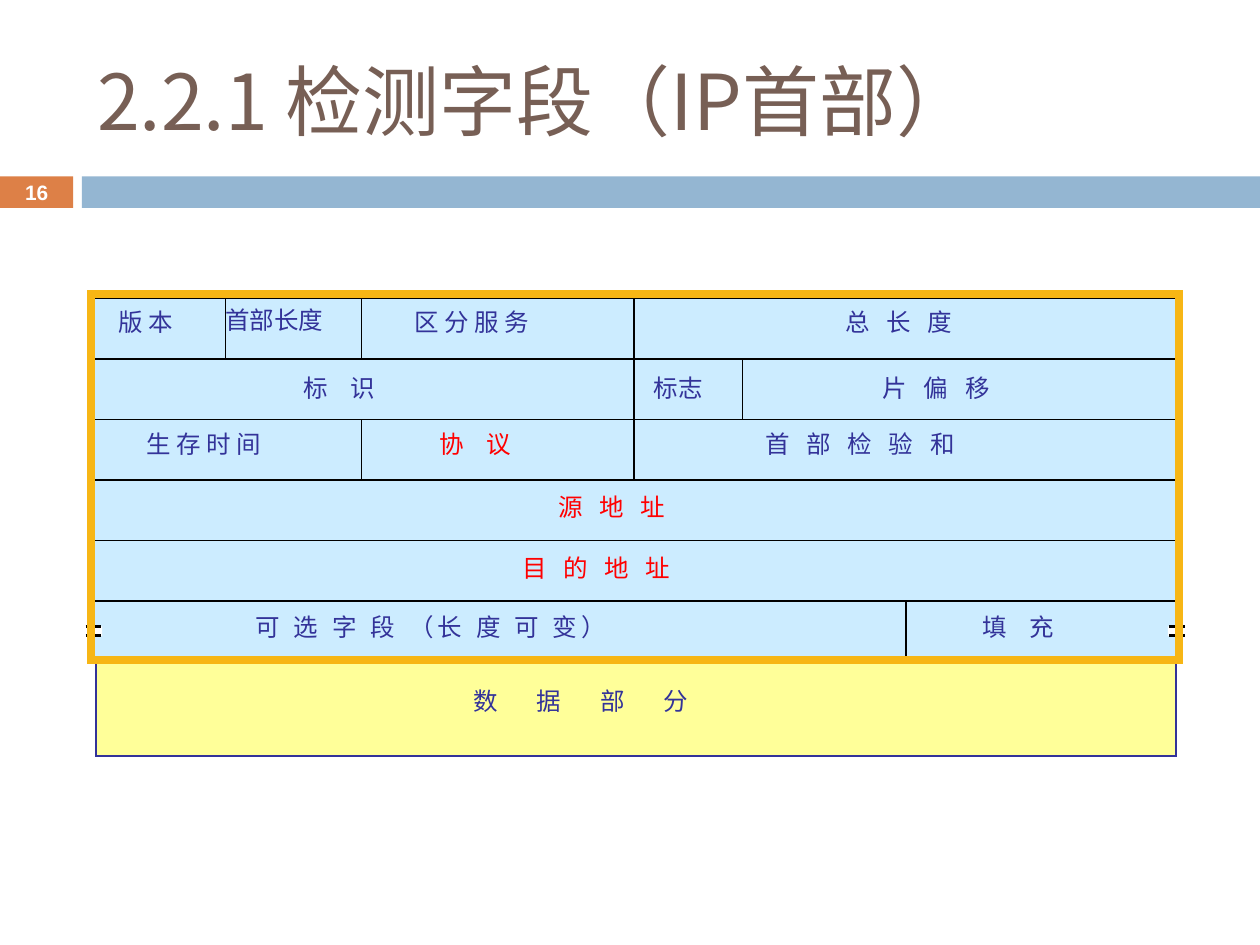
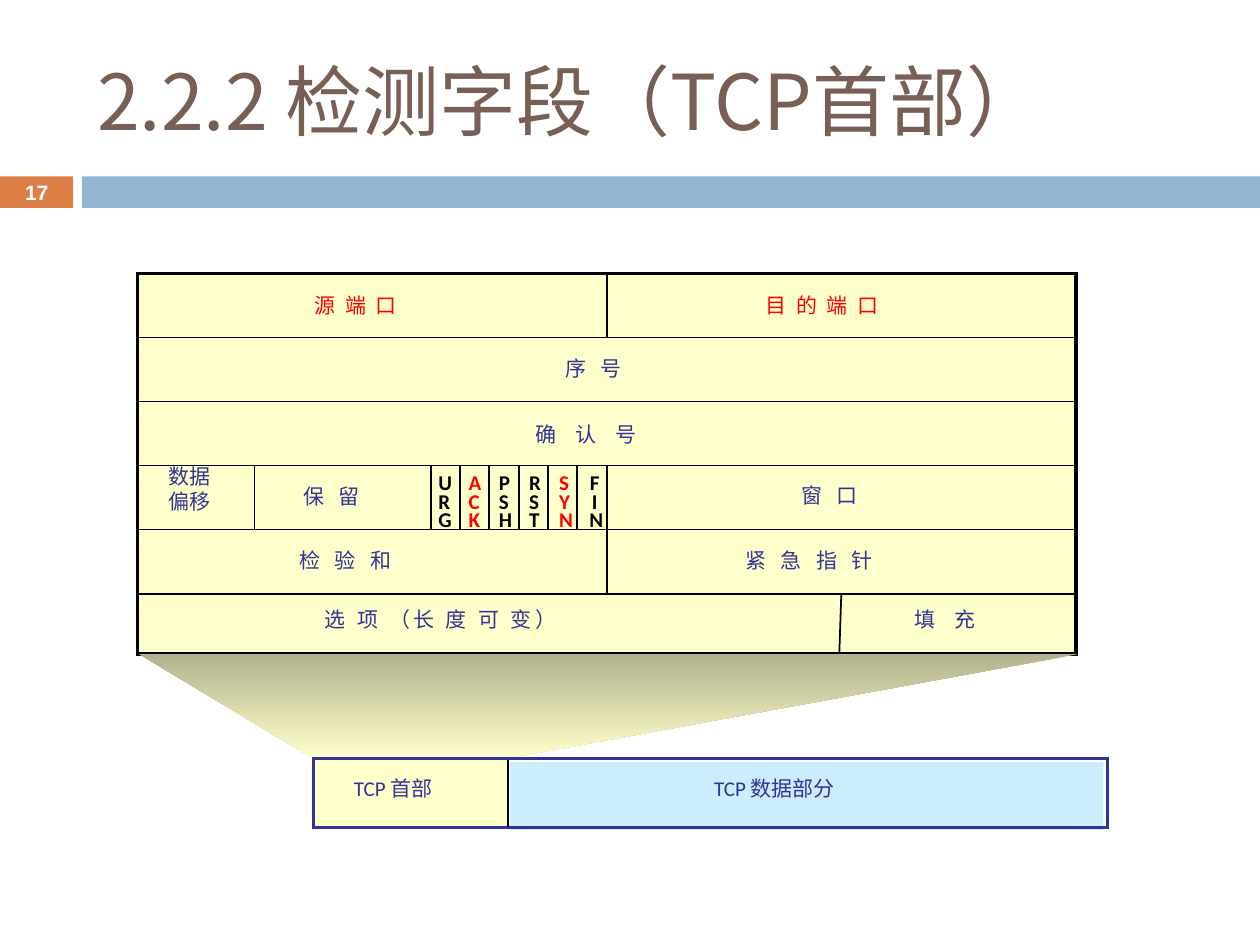
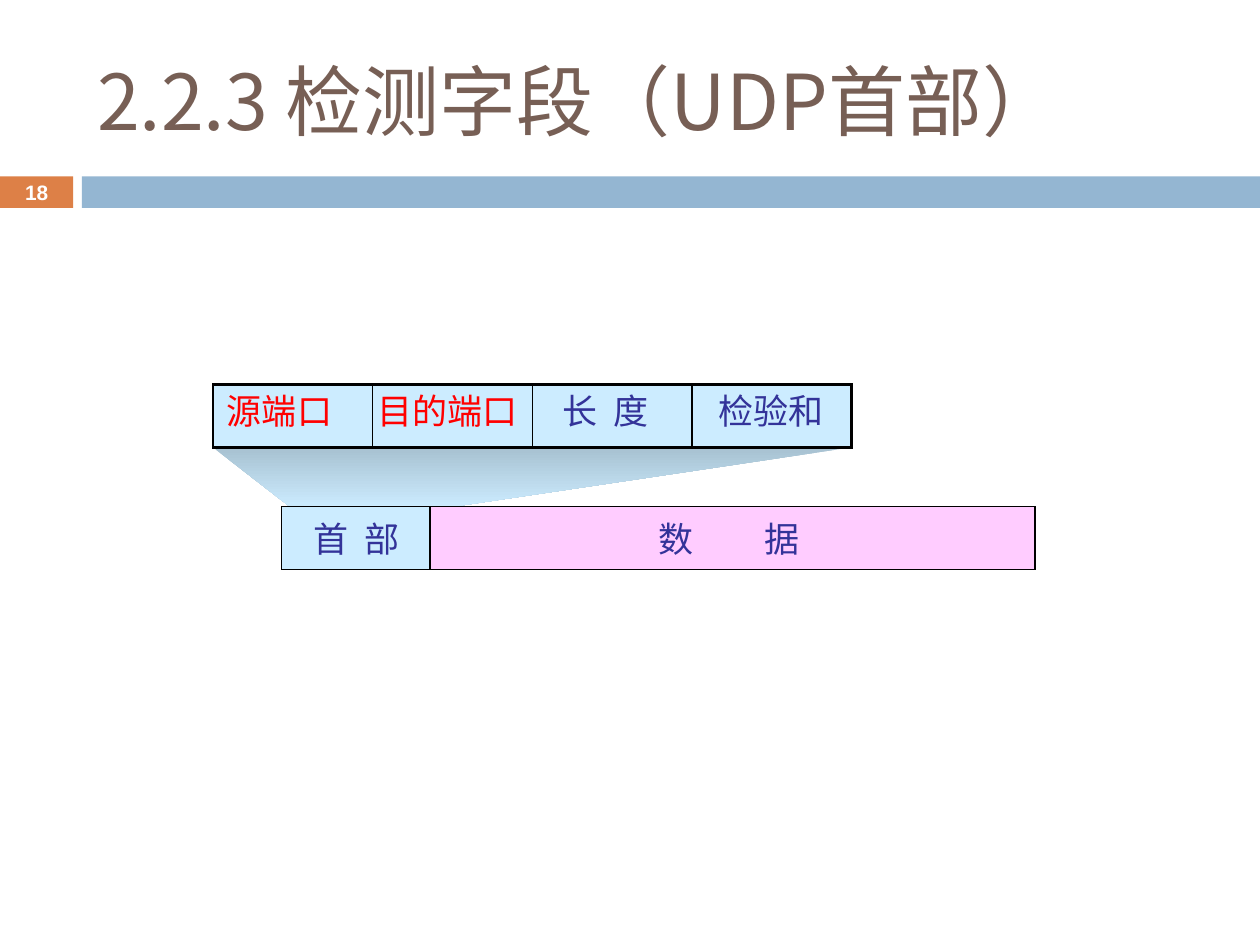
from dataclasses import dataclass
from typing import Any, NamedTuple

from lxml.etree import SubElement
from pptx import Presentation
from pptx.dml.color import RGBColor
from pptx.enum.shapes import MSO_CONNECTOR, MSO_SHAPE
from pptx.enum.text import MSO_ANCHOR, MSO_AUTO_SIZE, PP_ALIGN
from pptx.oxml.ns import qn
from pptx.slide import Slide
from pptx.util import Inches, Pt

COLORS = {
    "title": "775F55", "orange": "DD8047", "band": "94B6D2", "white": "FFFFFF",
    "black": "000000", "navy": "333399", "red": "FF0000", "amber": "F7B615",
    "sky": "CCECFF", "sky_dark": "A7C1D1", "yellow": "FFFF99",
    "cream": "FFFFCC", "cream_dark": "B2B28E", "pink": "FFCCFF",
}
CJK_FONT = "Noto Sans CJK SC"
SPACE_SHARE = 0.226  # width of a space, as a share of the font size


@dataclass(frozen=True)
class Grid:
    """Bit columns and word rows that a header is laid out on, in inches."""
    left: float
    top: float
    width: float
    height: float
    columns: int
    rows: int

    def x(self, column: float) -> int:
        return Inches(self.left + column * self.width / self.columns)

    def y(self, row: float) -> int:
        return Inches(self.top + row * self.height / self.rows)

    def w(self, columns: float) -> int:
        return Inches(columns * self.width / self.columns)

    def h(self, rows: float) -> int:
        return Inches(rows * self.height / self.rows)


class Box(NamedTuple):
    column: float
    row: float
    columns: float
    rows: float
    fill: str | None = None
    line: str | None = None
    weight: float = 1


class Rule(NamedTuple):
    column: float
    row: float
    end_column: float
    end_row: float
    weight: float = 1


class Label(NamedTuple):
    text: str
    column: float
    row: float
    columns: float
    gap: float = 1  # width of each gap, counted in spaces
    color: str = "navy"
    bold: bool = False
    spacing: float = 1
    align: PP_ALIGN = PP_ALIGN.LEFT


class Zoom(NamedTuple):
    corners: list[tuple[float, float]]
    dark: str
    light: str


SCREEN = Grid(0, 0, 10, 7.5, 100, 100)
IP = Grid(0.71, 2.37, 8.64, 2.88, 32, 6)
TCP = Grid(1.09, 2.17, 7.45, 3.05, 32, 6)
UDP = Grid(1.69, 3.05, 5.07, 0.5, 4, 1)


def rgb(name: str) -> RGBColor:
    return RGBColor.from_string(COLORS[name])


def apply(target: Any, formats: dict[str, Any]) -> None:
    for name, value in formats.items():
        setattr(target, name, value)


def style_font(run: Any, size: float, latin: str, color: str, bold: bool = False) -> None:
    apply(run.font, {"size": Pt(size), "name": latin, "bold": bold})
    run.font.color.rgb = rgb(color)
    SubElement(run.font._element, qn("a:ea")).set("typeface", CJK_FONT)


def draw_box(slide: Slide, grid: Grid, box: Box) -> None:
    shape = slide.shapes.add_shape(
        MSO_SHAPE.RECTANGLE, grid.x(box.column), grid.y(box.row),
        grid.w(box.columns), grid.h(box.rows))
    shape.shadow.inherit = False
    if box.fill:
        shape.fill.solid()
        shape.fill.fore_color.rgb = rgb(box.fill)
    else:
        shape.fill.background()
    if box.line:
        shape.line.color.rgb = rgb(box.line)
        shape.line.width = Pt(box.weight)
        # Square corners
        outline = shape._element.spPr.find(qn("a:ln"))
        SubElement(outline, qn("a:miter")).set("lim", "800000")
    else:
        shape.line.fill.background()


def draw_rule(slide: Slide, grid: Grid, rule: Rule) -> None:
    divider = slide.shapes.add_connector(
        MSO_CONNECTOR.STRAIGHT, grid.x(rule.column), grid.y(rule.row),
        grid.x(rule.end_column), grid.y(rule.end_row))
    divider.line.color.rgb = rgb("black")
    divider.line.width = Pt(rule.weight)
    SubElement(divider._element.spPr, qn("a:effectLst"))


def draw_label(slide: Slide, grid: Grid, label: Label, size: float) -> None:
    lines = label.text.split("\n")
    height = Inches(0.1) + Pt(size * 1.2 * label.spacing * len(lines))
    field = slide.shapes.add_textbox(
        grid.x(label.column), grid.y(label.row), grid.w(label.columns), height)
    frame = field.text_frame
    apply(frame, {"word_wrap": False, "auto_size": MSO_AUTO_SIZE.SHAPE_TO_FIT_TEXT})
    # Letter spacing on both sides of a single space widens it to the gap
    tracking = round((label.gap - 1) * SPACE_SHARE * size * 50)
    for index, line in enumerate(lines):
        paragraph = frame.add_paragraph() if index else frame.paragraphs[0]
        apply(paragraph, {"alignment": label.align, "line_spacing": label.spacing})
        for part in (line[:-1], line[-1]) if tracking else (line,):
            run = paragraph.add_run()
            run.text = part
            style_font(run, size, "Calibri", label.color, label.bold)
            if tracking and part == line[:-1]:
                run.font._element.set("spc", str(tracking))


def draw_zoom(slide: Slide, grid: Grid, zoom: Zoom) -> None:
    points = [(grid.x(column), grid.y(row)) for column, row in zoom.corners]
    builder = slide.shapes.build_freeform(*points[0], scale=1.0)
    builder.add_line_segments(points[1:], close=True)
    wedge = builder.convert_to_shape()
    wedge.shadow.inherit = False
    wedge.line.fill.background()
    wedge.fill.gradient()
    wedge.fill.gradient_angle = 270
    for stop, color, position in zip(wedge.fill.gradient_stops, (zoom.dark, zoom.light), (0, 1)):
        stop.color.rgb = rgb(color)
        stop.position = position


def draw_parts(slide: Slide, grid: Grid, size: float, parts: list[Any]) -> None:
    drawers = {Box: draw_box, Rule: draw_rule, Zoom: draw_zoom}
    for part in parts:
        if isinstance(part, Label):
            draw_label(slide, grid, part, size)
        else:
            drawers[type(part)](slide, grid, part)


def start_slide(deck: Any, number: int, heading: str) -> Slide:
    slide = deck.slides.add_slide(deck.slide_layouts[5])
    # Band with the page number
    draw_box(slide, SCREEN, Box(0, 18.67, 5.8, 3.33, "orange"))
    draw_box(slide, SCREEN, Box(6.5, 18.67, 93.5, 3.33, "band"))
    page = slide.shapes.add_textbox(
        SCREEN.x(0), SCREEN.y(18.53), SCREEN.w(5.8), SCREEN.h(3.6))
    apply(page.text_frame, {"vertical_anchor": MSO_ANCHOR.MIDDLE, "word_wrap": True})
    page.text_frame.paragraphs[0].alignment = PP_ALIGN.CENTER
    digits = page.text_frame.paragraphs[0].add_run()
    digits.text = str(number)
    style_font(digits, 11.9, "Arial", "white", True)
    # Title
    title = slide.shapes.title
    apply(title, {"left": SCREEN.x(6.7), "top": SCREEN.y(3.33),
                  "width": SCREEN.w(89.2), "height": SCREEN.h(14.4)})
    apply(title.text_frame, {"vertical_anchor": MSO_ANCHOR.MIDDLE, "word_wrap": True,
                             "auto_size": MSO_AUTO_SIZE.NONE})
    title.text_frame.paragraphs[0].alignment = PP_ALIGN.LEFT
    words = title.text_frame.paragraphs[0].add_run()
    words.text = heading
    style_font(words, 44, CJK_FONT, "title")
    return slide


def break_mark(column: float) -> list[Any]:
    """White gap with two short strokes on the edge of the optional row."""
    strokes = [Rule(column + 0.04, row, column + 0.5, row, 2) for row in (5.42, 5.57)]
    return [Box(column, 5.42, 0.52, 0.16, "white"), *strokes]


def ip_parts() -> list[Any]:
    return [
        Box(0.11, -0.02, 31.85, 6.02, "sky", "black", 2),
        Box(0.19, 6.02, 31.74, 1.54, "yellow", "navy"),
        # Dividers
        *[Rule(0.07, row, 32, row) for row in range(1, 6)],
        Rule(4, 0, 4, 1), Rule(8, 0, 8, 1), Rule(8, 2, 8, 3),
        Rule(16, 0, 16, 3), Rule(24, 5, 24, 6), Rule(19.2, 1, 19.2, 2),
        # Fields
        Label("版 本", 0.48, 0.04, 2.56),
        Label("首部长度", 3.63, 0, 3.8),
        Label("区 分 服 务", 9.19, 0.04, 4.74),
        Label("总 长 度", 21.85, 0.04, 5.11, 3),
        Label("标 识", 5.93, 1.13, 3.63, 4),
        Label("标志", 16.22, 1.13, 2.4),
        Label("片 偏 移", 22.96, 1.13, 5.11, 3),
        Label("生 存 时 间", 1.3, 2.06, 4.74),
        Label("协 议", 9.93, 2.06, 3.63, 4, "red"),
        Label("首 部 检 验 和", 19.52, 2.06, 8.74, 3),
        Label("源 地 址", 13.41, 3.1, 5.11, 3, "red"),
        Label("目 的 地 址", 12.37, 4.1, 6.93, 3, "red"),
        Label("可 选 字 段 （长 度 可 变）", 4.52, 5.08, 15.3, 2.5),
        Label("填 充", 25.89, 5.08, 3.63, 4),
        *break_mark(-0.15), *break_mark(31.7),
        Label("数 据 部 分", 10.93, 6.31, 11.78, 7),
        # Highlight around the header
        Box(0.04, -0.08, 32, 6.06, None, "amber", 4.5),
    ]


def tcp_parts() -> list[Any]:
    flags = [
        Label("\n".join(flag), 9.84 + 1.03 * index, 3.05, 1.2,
              color="red" if flag in ("ACK", "SYN") else "black", bold=True, spacing=0.75,
              align=PP_ALIGN.CENTER if flag == "FIN" else PP_ALIGN.LEFT)
        for index, flag in enumerate(("URG", "ACK", "PSH", "RST", "SYN", "FIN"))
    ]
    return [
        Box(0, 0, 32, 5.94, "cream", "black", 2),
        Zoom([(0.04, 5.94), (6, 7.57), (12.63, 7.57), (32.13, 5.94)], "cream_dark", "cream"),
        # Dividers
        *[Rule(0, row, 32, row) for row in range(1, 6)],
        Rule(16, 0, 16, 1), Rule(16, 3, 16, 5), Rule(24, 5, 23.93, 5.94),
        *[Rule(column, 3, column, 4) for column in (4, *range(10, 16))],
        # Fields
        Label("源 端 口", 5.63, 0.2, 4.47, 2, "red"),
        Label("目 的 端 口", 21, 0.2, 5.93, 2, "red"),
        Label("序 号", 14.18, 1.18, 3.61, 3),
        Label("确 认 号", 13.14, 2.22, 6.1, 4),
        Label("数据\n偏移", 0.64, 2.87, 2.32),
        Label("保 留", 5.24, 3.19, 3.39, 3),
        *flags,
        Label("窗 口", 22.21, 3.17, 3.39, 3),
        Label("检 验 和", 5.11, 4.19, 5.2, 3),
        Label("紧 急 指 针", 20.32, 4.19, 7, 3),
        Label("选 项 （长 度 可 变）", 5.97, 5.11, 13.32, 2.4),
        Label("填 充", 26.07, 5.11, 3.87, 4),
        # Segment
        Box(12.7, 7.63, 20.23, 1.06, "sky"),
        Box(6, 7.57, 6.63, 1.08, "cream"),
        Box(6, 7.57, 27.07, 1.08, None, "navy", 1.5),
        Rule(12.63, 7.59, 12.63, 8.65),
        Label("TCP 首部", 6.96, 7.75, 3.74),
        Label("TCP 数据部分", 19.24, 7.75, 5.2),
    ]


def udp_parts() -> list[Any]:
    return [
        Zoom([(0, 1), (4, 1), (1.46, 1.96), (0.47, 1.92)], "sky_dark", "sky"),
        # Header fields
        Box(0, 0, 4, 1, "sky", "black", 1.5),
        *[Rule(column, 0, column, 1, 0.75) for column in range(1, 4)],
        Label("源端口", 0.01, -0.02, 0.88, color="red"),
        Label("目的端口", 0.95, -0.02, 1.1, color="red"),
        Label("长 度", 2.11, -0.02, 0.76, 2),
        Label("检验和", 3.09, -0.02, 0.88),
        # Datagram
        Box(0.43, 1.94, 0.93, 1, "sky", "black"),
        Box(1.36, 1.94, 3.79, 1, "pink", "black"),
        Label("首 部", 0.55, 2.02, 0.76, 2),
        Label("数 据", 2.71, 2.02, 1.2, 9),
    ]


def main() -> None:
    deck = Presentation()
    apply(deck, {"slide_width": SCREEN.w(100), "slide_height": SCREEN.h(100)})
    headers = [("IP", IP, 14, ip_parts()), ("TCP", TCP, 12, tcp_parts()),
               ("UDP", UDP, 20, udp_parts())]
    for index, (protocol, grid, size, parts) in enumerate(headers):
        slide = start_slide(deck, 16 + index, f"2.2.{index + 1} 检测字段（{protocol}首部）")
        draw_parts(slide, grid, size, parts)
    deck.save("out.pptx")


if __name__ == "__main__":
    main()
